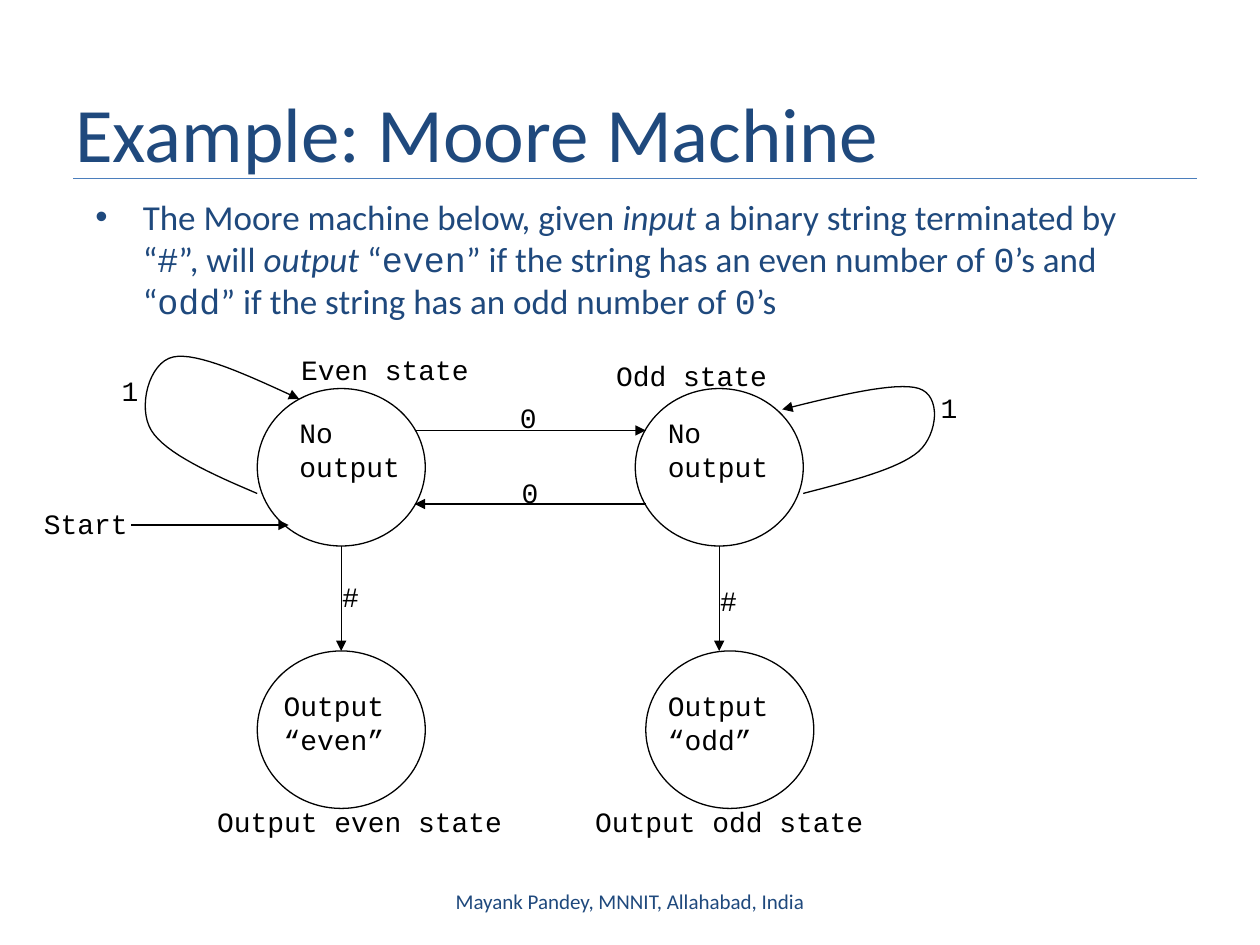
from lxml import etree
from pptx import Presentation
from pptx.dml.color import RGBColor
from pptx.enum.shapes import MSO_CONNECTOR, MSO_SHAPE
from pptx.enum.text import MSO_ANCHOR, MSO_AUTO_SIZE, PP_ALIGN
from pptx.oxml.ns import qn
from pptx.util import Pt

STRAIGHT = MSO_CONNECTOR.STRAIGHT
ELLIPSE = MSO_SHAPE.OVAL
MIDDLE = MSO_ANCHOR.MIDDLE
GROW = MSO_AUTO_SIZE.SHAPE_TO_FIT_TEXT
LEFT, CENTER = PP_ALIGN.LEFT, PP_ALIGN.CENTER

COLORS = {"navy": "1F497D", "rule": "4B7EBC", "black": "000000"}
SANS, MONO = "Calibri", "Courier New"

TITLE = "Example: Moore Machine"
FOOTER = "Mayank Pandey, MNNIT, Allahabad, India"
DESCRIPTION = [
    ("The Moore machine below, given ", SANS, False),
    ("input ", SANS, True),
    ("a binary string terminated by “", SANS, False),
    ("#", MONO, False),
    ("”, will ", SANS, False),
    ("output", SANS, True),
    (" “", SANS, False),
    ("even", MONO, False),
    ("” if the string has an even number of ", SANS, False),
    ("0", MONO, False),
    ("’s and “", SANS, False),
    ("odd", MONO, False),
    ("” if the string has an odd number of ", SANS, False),
    ("0", MONO, False),
    ("’s", SANS, False),
]

STATE_W, STATE_H = 96, 90
STATES = [(147, 222), (363, 222), (147, 372), (369, 372)]
TRANSITIONS = [
    (237, 246, 369, 246),
    (369, 288, 237, 288),
    (195, 312, 195, 372),
    (411, 312, 411, 372),
    (75, 300, 165, 300),
]
LOOPS = [
    [(147, 282), (121, 271), (94.5, 259), (86.5, 246), (78.5, 233), (85, 207),
     (99, 204), (112.5, 201), (142, 214.5), (171, 228)],
    [(459, 282), (486, 275), (513.5, 268), (525, 258), (536, 248), (538, 226),
     (525, 222), (512, 218), (479, 226), (447, 234)],
]
LABELS = [
    ("Even state", 165, 198, 111),
    ("Odd state", 345, 201.5, 101),
    ("Output even state", 117, 456, 178),
    ("Output odd state", 333, 456, 168),
    ("No\noutput", 164, 234, 72),
    ("No\noutput", 374.5, 234, 72),
    ("Output\n“even”", 155, 390, 82),
    ("Output\n“odd”", 374.5, 390, 82),
    ("0", 290, 225.5, 24.5),
    ("0", 291, 268, 24.5),
    ("1", 530.5, 219.5, 24.5),
    ("1", 62.5, 210, 24.5),
    ("#", 188.5, 327.5, 24.5),
    ("#", 404.5, 330, 24.5),
    ("Start", 18, 286, 62.5),
]
LABEL_HEIGHTS = {1: 26.5, 2: 46}
CURVE_STEPS = 16


def rgb(name):
    return RGBColor.from_string(COLORS[name])


def style_run(run, size, font, color, italic=False):
    run.font.size = Pt(size)
    run.font.name = font
    run.font.italic = italic
    run.font.color.rgb = rgb(color)


def add_text(slide, text, box, size, font, color, align=LEFT, wrap=True):
    shape = slide.shapes.add_textbox(*map(Pt, box))
    frame = shape.text_frame
    frame.word_wrap = wrap
    frame.text = text
    for paragraph in frame.paragraphs:
        paragraph.alignment = align
        for run in paragraph.runs:
            style_run(run, size, font, color)
    return frame


def style_line(shape, color="black", arrow=False):
    shape.line.color.rgb = rgb(color)
    shape.line.width = Pt(0.75)
    if arrow:
        etree.SubElement(shape.line._get_or_add_ln(), qn("a:tailEnd"), type="triangle")


def add_line(slide, ends, color="black", arrow=False):
    connector = slide.shapes.add_connector(STRAIGHT, *map(Pt, ends))
    style_line(connector, color, arrow)
    etree.SubElement(connector._element.spPr, qn("a:effectLst"))


def bezier_points(controls):
    for start in range(0, len(controls) - 1, 3):
        a, b, c, d = controls[start:start + 4]
        for step in range(1, CURVE_STEPS + 1):
            t = step / CURVE_STEPS
            u = 1 - t
            yield tuple(
                Pt(u**3 * a[i] + 3 * u * u * t * b[i] + 3 * u * t * t * c[i] + t**3 * d[i])
                for i in (0, 1)
            )


def add_loop(slide, controls):
    builder = slide.shapes.build_freeform(*map(Pt, controls[0]))
    builder.add_line_segments(list(bezier_points(controls)), close=False)
    loop = builder.convert_to_shape()
    loop.fill.background()
    loop.shadow.inherit = False
    style_line(loop, arrow=True)


def add_description(slide):
    frame = add_text(slide, "", (47.5, 108, 612, 324), 20, SANS, "navy")
    paragraph = frame.paragraphs[0]
    paragraph.space_before = Pt(4)
    for text, font, italic in DESCRIPTION:
        run = paragraph.add_run()
        run.text = text
        style_run(run, 20, font, "navy", italic)
    properties = paragraph._p.get_or_add_pPr()
    properties.set("marL", str(Pt(27)))
    properties.set("indent", str(-Pt(27)))
    etree.SubElement(properties, qn("a:buFont"), typeface="Arial")
    etree.SubElement(properties, qn("a:buChar"), char="•")


def main():
    deck = Presentation()
    deck.slide_width, deck.slide_height = Pt(720), Pt(540)
    slide = deck.slides.add_slide(deck.slide_layouts[6])

    add_line(slide, (42, 102, 684, 102), "rule")
    title = add_text(slide, TITLE, (36, 30, 648, 90), 44, SANS, "navy")
    title.vertical_anchor = MIDDLE
    add_description(slide)

    for left, top in STATES:
        state = slide.shapes.add_shape(ELLIPSE, *map(Pt, (left, top, STATE_W, STATE_H)))
        state.fill.background()
        state.shadow.inherit = False
        style_line(state)
    for ends in TRANSITIONS:
        add_line(slide, ends, arrow=True)
    for controls in LOOPS:
        add_loop(slide, controls)
    for text, left, top, width in LABELS:
        height = LABEL_HEIGHTS[len(text.split("\n"))]
        label = add_text(slide, text, (left, top, width, height), 16, MONO, "black", wrap=False)
        label.auto_size = GROW

    footer = add_text(slide, FOOTER, (246, 500.5, 228, 29), 12, SANS, "navy", CENTER)
    footer.vertical_anchor = MIDDLE
    deck.save("out.pptx")


if __name__ == "__main__":
    main()
